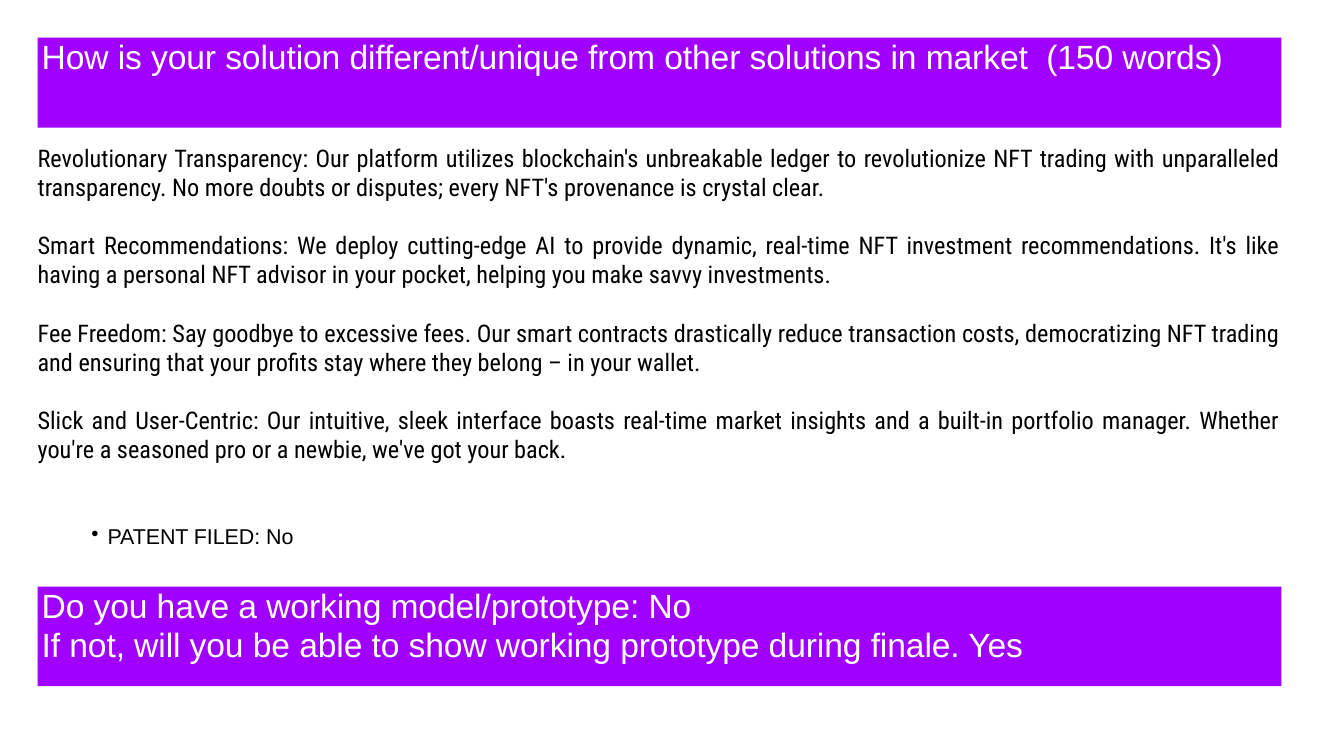
from lxml import etree
from pptx import Presentation
from pptx.dml.color import RGBColor
from pptx.enum.shapes import MSO_SHAPE
from pptx.enum.text import MSO_ANCHOR, MSO_AUTO_SIZE, PP_ALIGN
from pptx.oxml.ns import qn
from pptx.util import Inches, Pt

PURPLE = RGBColor(0xA0, 0x00, 0xFF)
WHITE = RGBColor(0xFF, 0xFF, 0xFF)
BLACK = RGBColor(0x00, 0x00, 0x00)
LEFT, JUSTIFY = PP_ALIGN.LEFT, PP_ALIGN.JUSTIFY
RECTANGLE = MSO_SHAPE.RECTANGLE
TOP = MSO_ANCHOR.TOP
NO_AUTOFIT = MSO_AUTO_SIZE.NONE

MARGIN, CONTENT_WIDTH = 0.56, 18.51

QUESTION = "How is your solution different/unique from other solutions in market  (150 words)"
ANSWERS = [
    "Revolutionary Transparency: Our platform utilizes blockchain's unbreakable ledger to "
    "revolutionize NFT trading with unparalleled transparency. No more doubts or disputes; "
    "every NFT's provenance is crystal clear.",
    "Smart Recommendations: We deploy cutting-edge AI to provide dynamic, real-time NFT "
    "investment recommendations. It's like having a personal NFT advisor in your pocket, "
    "helping you make savvy investments.",
    "Fee Freedom: Say goodbye to excessive fees. Our smart contracts drastically reduce "
    "transaction costs, democratizing NFT trading and ensuring that your profits stay where "
    "they belong – in your wallet.",
    "Slick and User-Centric: Our intuitive, sleek interface boasts real-time market insights "
    "and a built-in portfolio manager. Whether you're a seasoned pro or a newbie, we've got "
    "your back.",
]
PATENT = "PATENT FILED: No"
PROTOTYPE = [
    "Do you have a working model/prototype: No",
    "If not, will you be able to show working prototype during finale. Yes",
]


def write(frame, lines, *, size, leading, font="Arial", color=BLACK, align=LEFT,
          gap=0, tracking=0, bullet=None, level=0, hanging=(0, 0), insets=(0, 0)):
    """Fill a text frame; hanging is (margin, indent), insets is (side, top) in inches."""
    frame.word_wrap = True
    frame.auto_size = NO_AUTOFIT
    frame.vertical_anchor = TOP
    frame.margin_left = frame.margin_right = Inches(insets[0])
    frame.margin_top, frame.margin_bottom = Inches(insets[1]), 0
    for index, line in enumerate(lines):
        paragraph = frame.paragraphs[0] if index == 0 else frame.add_paragraph()
        paragraph.alignment = align
        paragraph.level = level
        paragraph.line_spacing = Pt(leading)
        paragraph.space_before = Pt(gap if index else 0)
        paragraph.space_after = Pt(0)
        properties = paragraph._p.get_or_add_pPr()
        properties.set("marL", str(Inches(hanging[0])))
        properties.set("indent", str(Inches(hanging[1])))
        if bullet:
            etree.SubElement(properties, qn("a:buChar")).set("char", bullet)
        else:
            etree.SubElement(properties, qn("a:buNone"))
        run = paragraph.add_run()
        run.text = line
        run.font.name, run.font.size = font, Pt(size)
        run.font.color.rgb = color
        if tracking:
            run._r.get_or_add_rPr().set("spc", str(round(tracking * 100)))


class PitchSlide:
    banner_style = dict(size=36, color=WHITE, tracking=-0.1)
    answer_style = dict(size=26, leading=31.2, font="Roboto Condensed",
                        align=JUSTIFY, gap=31.2)
    bullet_style = dict(size=23, leading=27.6, tracking=-0.1, bullet="•",
                        level=1, hanging=(0.48, -0.24))

    def __init__(self, presentation):
        self.slide = presentation.slides.add_slide(presentation.slide_layouts[1])

    def place(self, shape, top, height):
        shape.left, shape.top = Inches(MARGIN), Inches(top)
        shape.width, shape.height = Inches(CONTENT_WIDTH), Inches(height)

    def paint_banner(self, banner, lines, leading, top_inset):
        banner.fill.solid()
        banner.fill.fore_color.rgb = PURPLE
        banner.line.fill.background()
        write(banner.text_frame, lines, leading=leading,
              insets=(0.06, top_inset), **self.banner_style)

    def title(self, text, top, height):
        heading = self.slide.shapes.title
        self.place(heading, top, height)
        self.paint_banner(heading, [text], leading=38.9, top_inset=0.04)

    def body(self, paragraphs, top, height):
        answers = self.slide.placeholders[1]
        self.place(answers, top, height)
        write(answers.text_frame, paragraphs, **self.answer_style)

    def bullet(self, text, left, top, width, height):
        note = self.slide.shapes.add_textbox(
            Inches(left), Inches(top), Inches(width), Inches(height))
        write(note.text_frame, [text], **self.bullet_style)

    def banner(self, lines, top, height):
        bar = self.slide.shapes.add_shape(RECTANGLE, 0, 0, 0, 0)
        self.place(bar, top, height)
        bar.shadow.inherit = False
        self.paint_banner(bar, lines, leading=41, top_inset=0.01)


def main():
    presentation = Presentation()
    presentation.slide_width, presentation.slide_height = Inches(20), Inches(11.25)
    pitch = PitchSlide(presentation)
    pitch.title(QUESTION, top=0.56, height=1.34)
    pitch.body(ANSWERS, top=2.13, height=5.12)
    pitch.bullet(PATENT, left=1.12, top=7.79, width=3.39, height=0.4)
    pitch.banner(PROTOTYPE, top=8.73, height=1.48)
    presentation.save("out.pptx")


if __name__ == "__main__":
    main()
